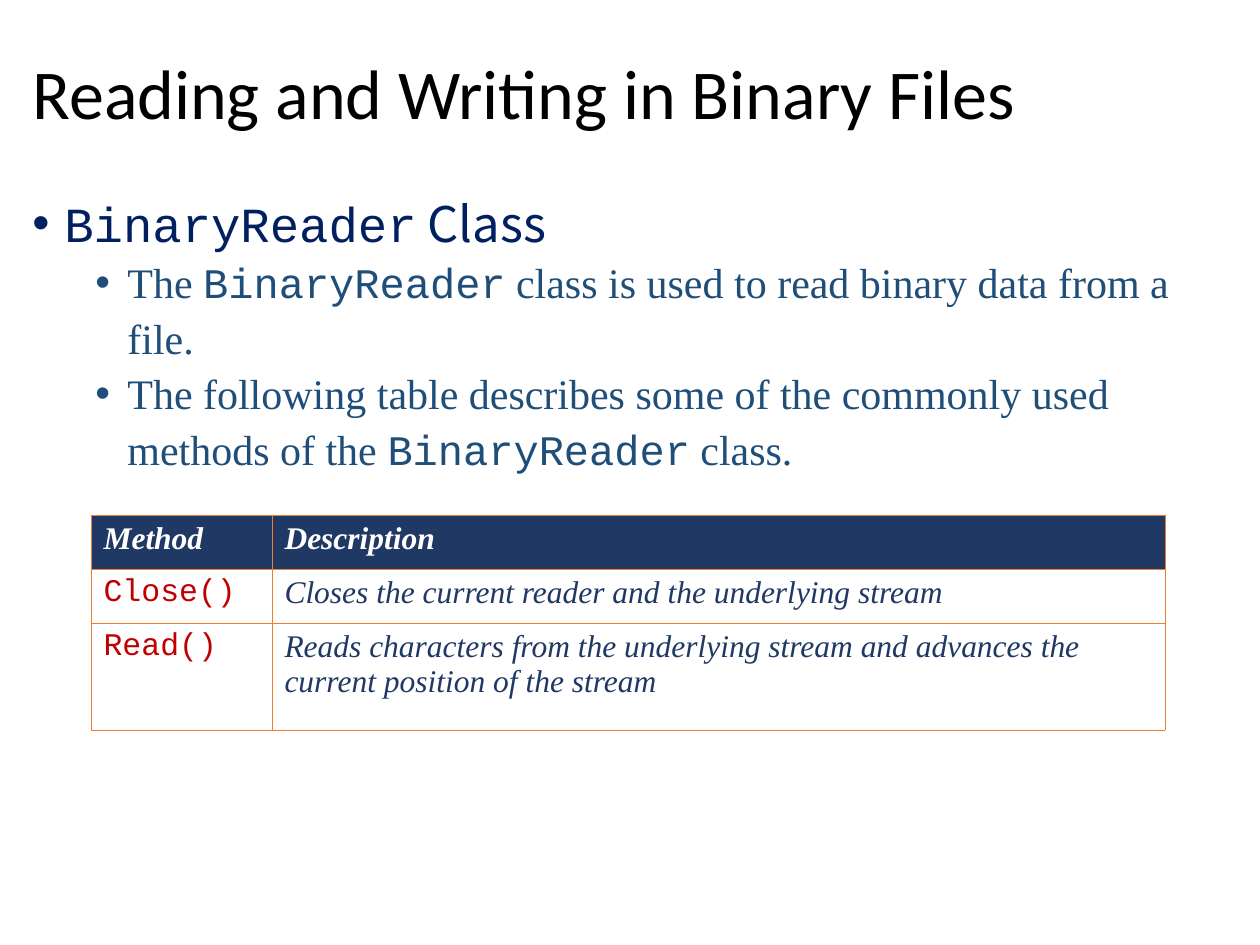
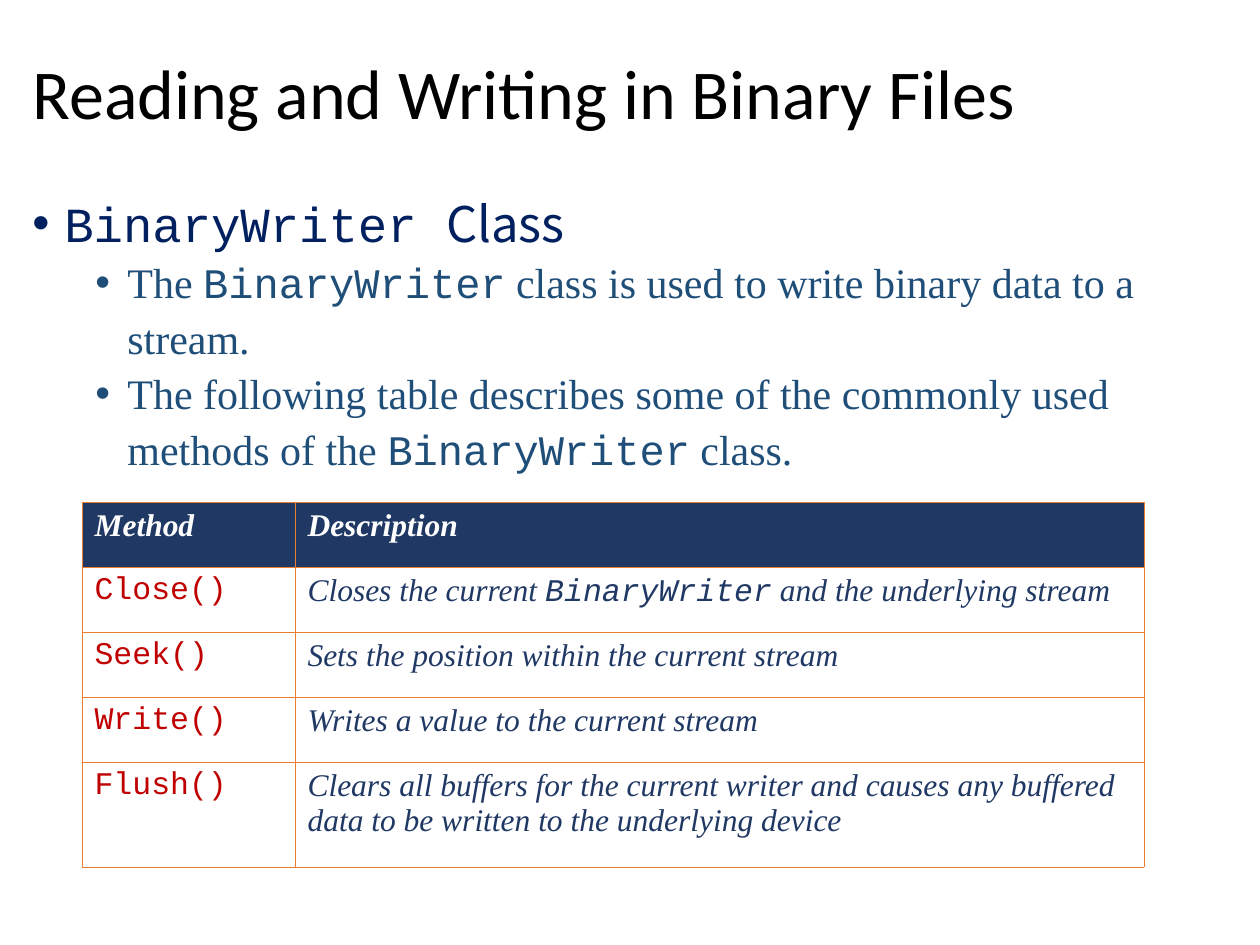
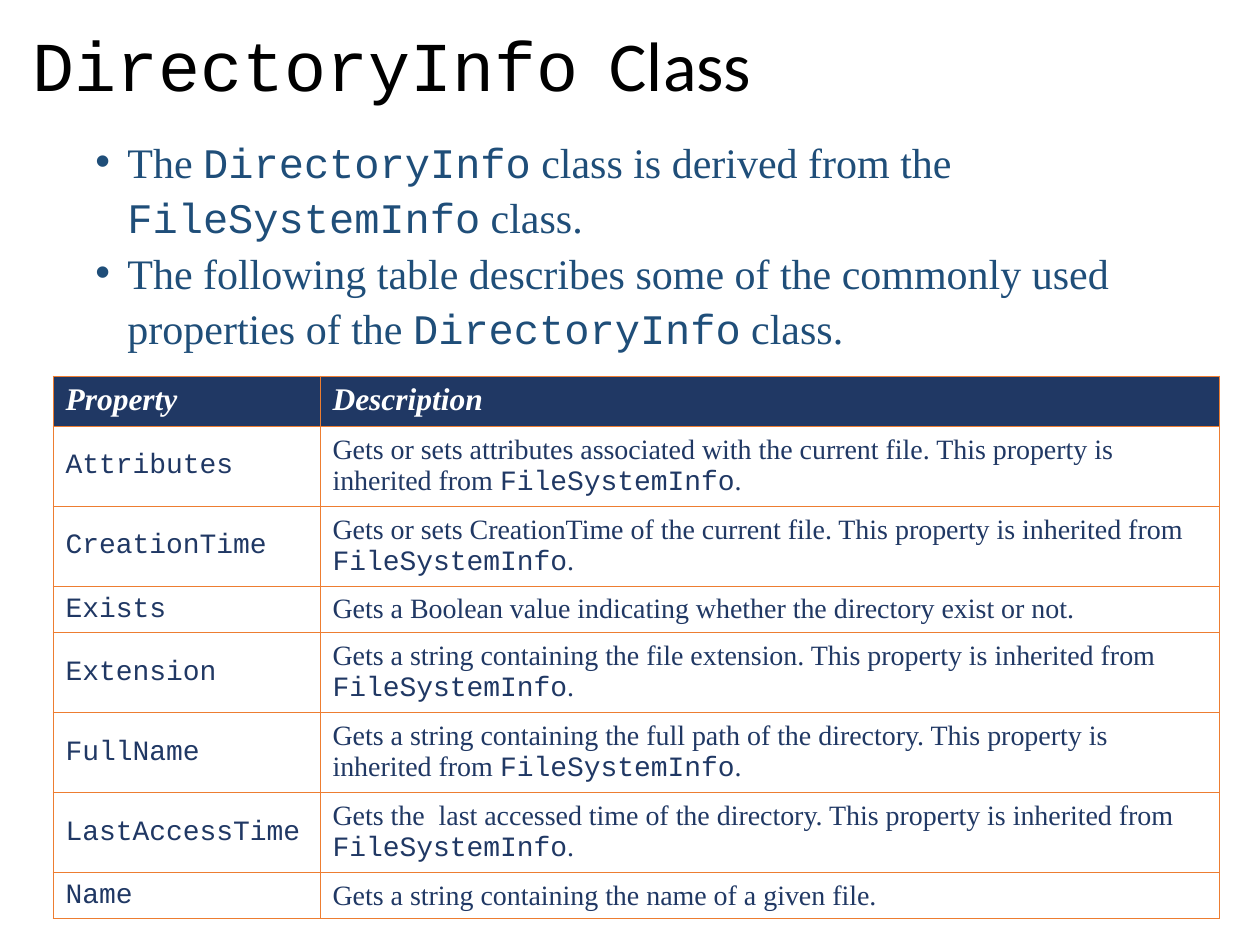
from lxml import etree
from pptx import Presentation
from pptx import util as u
from pptx.dml.color import RGBColor
from pptx.enum import text
from pptx.oxml import ns

BLACK = RGBColor(0x00, 0x00, 0x00)
WHITE = RGBColor(0xFF, 0xFF, 0xFF)
NAVY = RGBColor(0x00, 0x20, 0x60)
BLUE = RGBColor(0x1F, 0x4E, 0x79)
DARK = RGBColor(0x20, 0x38, 0x64)
RED = RGBColor(0xC0, 0x00, 0x00)
ORANGE = RGBColor(0xED, 0x7D, 0x31)

SERIF = "Times New Roman"
CODE = "Courier New"
TITLE_FONT = "Calibri"
HEADING_FONT = "Noto Sans CJK SC"

LEFT, WIDTH, BOTTOM = 20, 1227, 926
TITLE_TOP = 14
INDENTS = (32, 95)
HANGING = 32
BORDER = u.Pt(0.45)

# Words between backticks are set in the code font.
METHODS = {"size": 18, "name_color": RED, "italic": True,
           "anchor": text.MSO_ANCHOR.TOP}
PROPERTIES = {"size": 16, "name_color": DARK, "italic": False,
              "anchor": text.MSO_ANCHOR.MIDDLE}

SLIDES = [
    {
        "title": "Reading and Writing in Binary Files",
        "body_top": 181,
        "heading": "`BinaryReader` Class",
        "points": [
            "The `BinaryReader` class is used to read binary data from a file.",
            "The following table describes some of the commonly used methods "
            "of the `BinaryReader` class.",
        ],
        "look": METHODS,
        "corner": (91, 515),
        "columns": (181, 893),
        "heights": (54, 54, 107),
        "rows": [
            ("Method", "Description"),
            ("`Close()`", "Closes the current reader and the underlying stream"),
            ("`Read()`", "Reads characters from the underlying stream and "
                         "advances the current position of the stream"),
        ],
    },
    {
        "title": "Reading and Writing in Binary Files",
        "body_top": 181,
        "heading": "`BinaryWriter `Class",
        "points": [
            "The `BinaryWriter` class is used to write binary data to a stream.",
            "The following table describes some of the commonly used methods "
            "of the `BinaryWriter` class.",
        ],
        "look": METHODS,
        "corner": (82, 502),
        "columns": (213, 849),
        "heights": (65, 65, 65, 65, 105),
        "rows": [
            ("Method", "Description"),
            ("`Close()`", "Closes the current `BinaryWriter` and the "
                          "underlying stream"),
            ("`Seek()`", "Sets the position within the current stream"),
            ("`Write()`", "Writes a value to the current stream"),
            ("`Flush()`", "Clears all buffers for the current writer and causes "
                          "any buffered data to be written to the underlying "
                          "device"),
        ],
    },
    {
        "title": "`DirectoryInfo`  Class",
        "body_top": 125,
        "heading": None,
        "points": [
            "The `DirectoryInfo` class is derived from the `FileSystemInfo` "
            "class.",
            "The following table describes some of the commonly used "
            "properties of the `DirectoryInfo` class.",
        ],
        "look": PROPERTIES,
        "corner": (53, 376),
        "columns": (267, 899),
        "heights": (50, 80, 80, 46, 80, 80, 80, 46),
        "rows": [
            ("Property", "Description"),
            ("`Attributes`", "Gets or sets attributes associated with the "
                             "current file. This property is inherited from "
                             "`FileSystemInfo`."),
            ("`CreationTime`", "Gets or sets CreationTime of the current file. "
                               "This property is inherited from "
                               "`FileSystemInfo`."),
            ("`Exists`", "Gets a Boolean value indicating whether the directory "
                         "exist or not."),
            ("`Extension`", "Gets a string containing the file extension. This "
                            "property is inherited from `FileSystemInfo`."),
            ("`FullName`", "Gets a string containing the full path of the "
                           "directory. This property is inherited from "
                           "`FileSystemInfo`."),
            ("`LastAccessTime`", "Gets the  last accessed time of the directory. "
                                 "This property is inherited from "
                                 "`FileSystemInfo`."),
            ("`Name`", "Gets a string containing the name of a given file."),
        ],
    },
]


def px(length):
    return u.Emu(round(length * 914400 / 126))


def add_runs(paragraph, marked, font, size, color, bold=False, italic=False):
    """Add one run per stretch of text, switching font at each backtick."""
    for index, words in enumerate(marked.split("`")):
        if not words:
            continue
        run = paragraph.add_run()
        run.text = words
        run.font.name = CODE if index % 2 else font
        run.font.size = u.Pt(size)
        run.font.color.rgb = color
        run.font.bold = bold
        run.font.italic = italic


def add_fill(parent, color):
    fill = etree.SubElement(parent, ns.qn("a:solidFill"))
    etree.SubElement(fill, ns.qn("a:srgbClr"), val=str(color))


def add_bullet(paragraph, level, color):
    paragraph.level = level
    paragraph.line_spacing = 1.1
    props = paragraph._p.get_or_add_pPr()
    props.set("marL", str(px(INDENTS[level])))
    props.set("indent", str(-px(HANGING)))
    bullet_color = etree.SubElement(props, ns.qn("a:buClr"))
    etree.SubElement(bullet_color, ns.qn("a:srgbClr"), val=str(color))
    etree.SubElement(props, ns.qn("a:buFont"), typeface="Arial")
    etree.SubElement(props, ns.qn("a:buChar"), char="•")


def add_borders(cell):
    props = cell._tc.get_or_add_tcPr()
    for index, side in enumerate(("lnL", "lnR", "lnT", "lnB")):
        line = etree.Element(ns.qn(f"a:{side}"), w=str(BORDER))
        add_fill(line, ORANGE)
        props.insert(index, line)


def set_title(slide, content):
    title = slide.shapes.title
    title.left, title.top = px(LEFT), px(TITLE_TOP)
    title.width, title.height = px(WIDTH), px(content["body_top"] - TITLE_TOP - 2)
    frame = title.text_frame
    frame.auto_size = text.MSO_AUTO_SIZE.NONE
    frame.vertical_anchor = text.MSO_ANCHOR.MIDDLE
    paragraph = frame.paragraphs[0]
    paragraph.alignment = text.PP_ALIGN.LEFT
    paragraph.line_spacing = 0.9
    add_runs(paragraph, content["title"], TITLE_FONT, 40, BLACK)


def add_body(slide, content):
    top = content["body_top"]
    body = slide.shapes.add_textbox(px(LEFT), px(top), px(WIDTH), px(BOTTOM - top))
    frame = body.text_frame
    frame.word_wrap = True
    lines = [(1, point, SERIF, 24, BLUE) for point in content["points"]]
    if content["heading"]:
        lines.insert(0, (0, content["heading"], HEADING_FONT, 28, NAVY))
    for index, (level, marked, font, size, color) in enumerate(lines):
        paragraph = frame.add_paragraph() if index else frame.paragraphs[0]
        add_bullet(paragraph, level, color)
        add_runs(paragraph, marked, font, size, color)


def add_members(slide, content):
    """Add the table that lists the members of the class."""
    rows, look = content["rows"], content["look"]
    columns, heights = content["columns"], content["heights"]
    left, top = content["corner"]
    table = slide.shapes.add_table(len(rows), len(columns), px(left), px(top),
                                   px(sum(columns)), px(sum(heights))).table
    table.horz_banding = False
    for column, width in zip(table.columns, columns):
        column.width = px(width)
    for r, (row, height) in enumerate(zip(rows, heights)):
        table.rows[r].height = px(height)
        for c, marked in enumerate(row):
            cell = table.cell(r, c)
            paragraph = cell.text_frame.paragraphs[0]
            if r == 0:
                cell.fill.solid()
                cell.fill.fore_color.rgb = DARK
                add_runs(paragraph, marked, SERIF, 18, WHITE, True, True)
            else:
                cell.fill.background()
                cell.vertical_anchor = look["anchor"]
                add_runs(paragraph, marked, SERIF, look["size"],
                         DARK if c else look["name_color"],
                         italic=look["italic"] and c > 0)
            add_borders(cell)


def main():
    deck = Presentation()
    deck.slide_width, deck.slide_height = u.Inches(10), u.Inches(7.5)
    title_only = deck.slide_layouts[5]
    for content in SLIDES:
        slide = deck.slides.add_slide(title_only)
        set_title(slide, content)
        add_body(slide, content)
        add_members(slide, content)
    deck.save("out.pptx")


if __name__ == "__main__":
    main()
